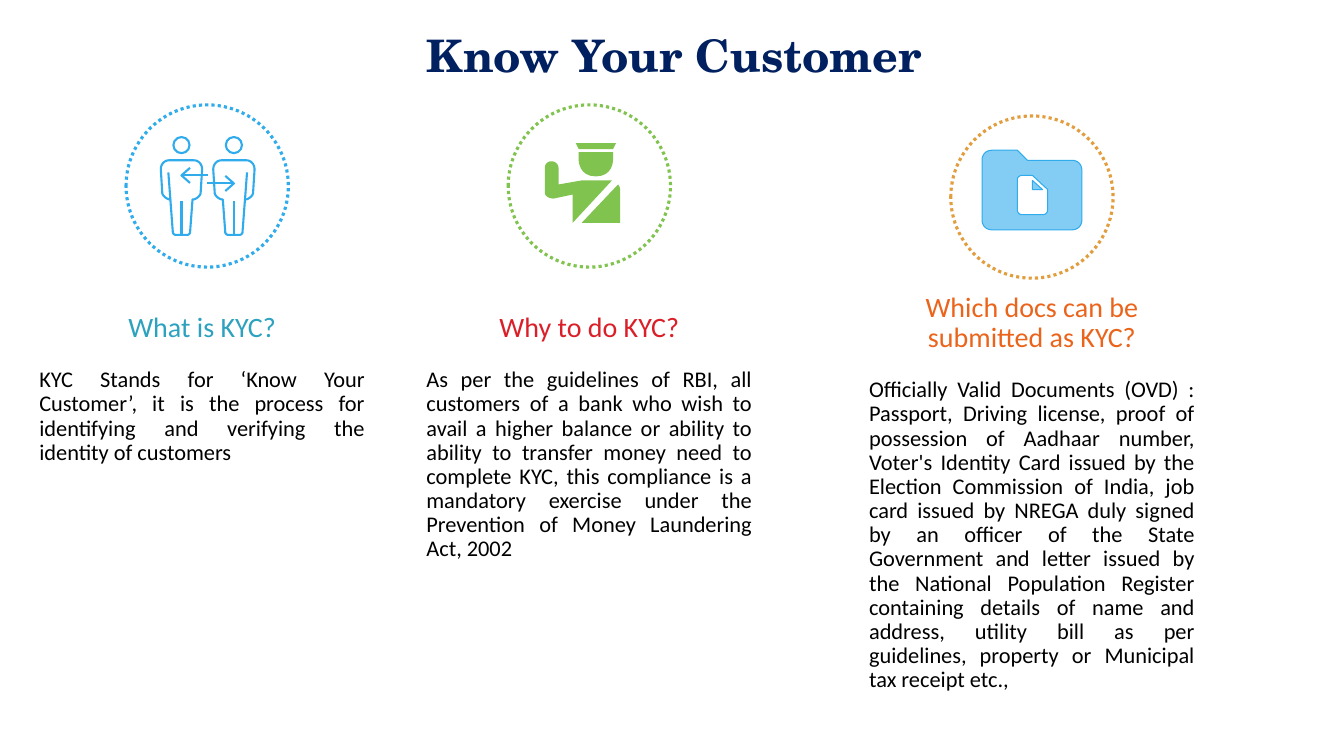
from dataclasses import dataclass

from lxml.etree import SubElement as Sub
from pptx import Presentation
from pptx.dml.color import RGBColor as Rgb
from pptx.enum.dml import MSO_LINE as Dash
from pptx.enum.shapes import MSO_CONNECTOR as Link, MSO_SHAPE as Form
from pptx.enum.text import MSO_ANCHOR as Anchor, PP_ALIGN as Align
from pptx.oxml.ns import qn
from pptx.util import Inches, Pt


@dataclass(frozen=True)
class Theme:
    navy: str = "002060"
    black: str = "000000"
    teal: str = "2DA2BF"
    red: str = "DA1F28"
    rust: str = "EB641B"
    blue: str = "30ACEC"
    sky: str = "83CDF4"
    green: str = "80C34F"
    gold: str = "E29D3E"
    serif: str = "TeX Gyre Schola"
    sans: str = "Calibri"
    title: int = 32
    head: int = 20
    body: int = 16
    gap: float = 17.6
    thin: float = 1.5
    ring: float = 2.25


T = Theme()
WIDE, HIGH = 13.33, 7.5
ROWS = 75  # square grid cells down the slide
RING = 16.1  # ring width in cells
STEPS = 8  # points along each curve

# Left, top, height, heading colour, heading, body text
PANELS = [
    (3.9, 31.1, 30.1, T.teal, "What is KYC?",
     "KYC Stands for ‘Know Your Customer’, it is the process for identifying "
     "and verifying the identity of customers"),
    (42.3, 31.1, 30.1, T.red, "Why to do KYC?",
     "As per the guidelines of RBI, all customers of a bank who wish to avail "
     "a higher balance or ability to ability to transfer money need to "
     "complete KYC, this compliance is a mandatory exercise under the "
     "Prevention of Money Laundering Act, 2002"),
    (86.2, 29.1, 43.1, T.rust, "Which docs can be submitted as KYC?",
     "Officially Valid Documents (OVD) : Passport, Driving license, proof of "
     "possession of Aadhaar number, Voter's Identity Card issued by the "
     "Election Commission of India, job card issued by NREGA duly signed by "
     "an officer of the State Government and letter issued by the National "
     "Population Register containing details of name and address, utility "
     "bill as per guidelines, property or Municipal tax receipt etc.,"),
]
RINGS = [(12.5, 10.4, T.blue), (50.4, 10.4, T.green), (94.3, 11.5, T.gold)]

# Outlines in cells: two numbers make a corner, six make a curve
BODY = [(2.05, 16.8), (1.9, 19.2), (1.8, 19.5, 1.4, 19.8, 1.1, 19.8),
        (0.85, 23.1), (0.8, 23.2, 0.7, 23.3, 0.6, 23.3), (-0.6, 23.3),
        (-0.7, 23.3, -0.8, 23.2, -0.85, 23.1), (-1.1, 19.8),
        (-1.4, 19.8, -1.8, 19.5, -1.9, 19.2), (-2.05, 16.8),
        (-2.05, 16.3, -1.7, 15.9, -1.2, 15.9), (1.2, 15.9),
        (1.7, 15.9, 2.05, 16.3, 2.05, 16.8)]
GUARD = [
    [(57.1, 14.2), (57.4, 14.8), (60.8, 14.8), (61.1, 14.2)],
    [(57.4, 15.1), (57.4, 15.9), (57.4, 15.9, 57.4, 17.5, 59.1, 17.5),
     (60.8, 17.5, 60.8, 15.9, 60.8, 15.9), (60.8, 15.1)],
    [(54.7, 16), (54.3, 16, 54, 16.3, 54.05, 16.7), (54.05, 19.1),
     (54, 19.4, 54.4, 19.7, 54.9, 19.7), (56.8, 19.3), (56.8, 22.1),
     (60.7, 17.9), (60.6, 17.9, 60.5, 17.9, 60.4, 17.9), (57.7, 17.9),
     (55.4, 18.3), (55.4, 16.7), (55.4, 16.3, 55.1, 16, 54.7, 16)],
    [(61.3, 18.3), (57.7, 22.1), (61.5, 22.1), (61.5, 18.8),
     (61.5, 18.6, 61.4, 18.4, 61.3, 18.3)],
]
FOLD = [[(102.4, 18.8), (103.4, 18.8), (102.4, 17.9)]]
FOLDER = [
    [(106.3, 15.9), (101.9, 15.9), (100.9, 14.9), (98.4, 14.9),
     (97.8, 14.9, 97.4, 15.3, 97.4, 15.9), (97.4, 21.8),
     (97.4, 22.4, 97.8, 22.8, 98.4, 22.8), (106.3, 22.8),
     (106.9, 22.8, 107.3, 22.4, 107.3, 21.8), (107.3, 16.9),
     (107.3, 16.3, 106.9, 15.9, 106.3, 15.9)],
    [(103.9, 20.8), (103.9, 21.1, 103.7, 21.3, 103.4, 21.3), (101.4, 21.3),
     (101.1, 21.3, 100.9, 21.1, 100.9, 20.8), (100.9, 17.8),
     (100.9, 17.6, 101.1, 17.4, 101.4, 17.4), (102.4, 17.4), (103.9, 18.8)],
]


def cell(num):
    return Inches(num * HIGH / ROWS)


def put(item, **vals):
    for key, val in vals.items():
        setattr(item, key, val)


def paint(shape, fill=None, line=None, **pen):
    """Give a shape its fill and line."""
    shape.shadow.inherit = False
    if fill:
        shape.fill.solid()
        shape.fill.fore_color.rgb = Rgb.from_string(fill)
    else:
        shape.fill.background()
    if line:
        shape.line.color.rgb = Rgb.from_string(line)
        put(shape.line, **pen)
    else:
        shape.line.fill.background()


def disc(slide, x, y, size, tint, **pen):
    box = map(cell, (x, y, size, size))
    paint(slide.shapes.add_shape(Form.OVAL, *box), line=tint, **pen)


def trace(part):
    """Turn corners and curves into a run of points."""
    dots = []
    for seg in part:
        if len(seg) == 2:
            dots.append(seg)
            continue
        knots = [dots[-1], seg[:2], seg[2:4], seg[4:]]
        for step in range(1, STEPS + 1):
            t = step / STEPS
            u = 1 - t
            mix = (u ** 3, 3 * u * u * t, 3 * u * t * t, t ** 3)
            dots.append(tuple(sum(m * k[i] for m, k in zip(mix, knots))
                              for i in (0, 1)))
    return [(cell(x), cell(y)) for x, y in dots]


def draw(slide, parts, shift=0, close=True, **look):
    """Draw one outline from one or more parts."""
    runs = [[(x + cell(shift), y) for x, y in trace(p)] for p in parts]
    pen = slide.shapes.build_freeform(*runs[0][0])
    for num, run in enumerate(runs):
        if num:
            pen.move_to(*run[0])
        pen.add_line_segments(run[1:], close=close)
    paint(pen.convert_to_shape(), **look)


def rule(slide, *ends):
    link = slide.shapes.add_connector(Link.STRAIGHT, *map(cell, ends))
    link.line.color.rgb = Rgb.from_string(T.blue)
    link.line.width = Pt(T.thin)
    Sub(link._element.spPr, qn("a:effectLst"))


def write(para, text, tint, **font):
    run = para.add_run()
    run.text = text
    put(run.font, **font)
    run.font.color.rgb = Rgb.from_string(tint)


def title(slide):
    box = slide.shapes.add_textbox(*map(cell, (9.4, 1.8, 115, 7.2)))
    put(box.text_frame, word_wrap=True, vertical_anchor=Anchor.MIDDLE)
    para = box.text_frame.paragraphs[0]
    para.alignment = Align.CENTER
    write(para, "Know Your Customer", T.navy,
          name=T.serif, size=Pt(T.title), bold=True)


def panel(slide, x, y, high, tint, head, body):
    frame = slide.shapes.add_textbox(
        *map(cell, (x, y, 32.3, high))).text_frame
    put(frame, word_wrap=True, margin_left=0, margin_right=0,
        margin_top=0, margin_bottom=0)
    top, main_text = frame.paragraphs[0], frame.add_paragraph()
    put(top, alignment=Align.CENTER, line_spacing=0.9, space_after=Pt(T.gap))
    put(main_text, alignment=Align.JUSTIFY, line_spacing=0.9)
    write(top, head, tint, name=T.sans, size=Pt(T.head))
    write(main_text, body, T.black, name=T.sans, size=Pt(T.body))


def person(slide, mid, side, level):
    """Draw a figure and its arrow; side points to the other figure."""
    look = dict(line=T.blue, width=Pt(T.thin))
    disc(slide, mid - 0.8, 13.6, 1.6, T.blue, width=Pt(T.thin))
    draw(slide, [BODY], shift=mid, **look)
    rule(slide, mid, 19.9, mid, 23.3)
    rule(slide, mid - side * 1.1, 19.8, mid - side * 1.3, 17.1)
    back = mid + side * 0.85
    draw(slide, [[(back, level - 0.75), (mid, level), (back, level + 0.75)]],
         close=False, **look)
    rule(slide, mid, level, mid + side * 2.65, level)


def main():
    deck = Presentation()
    put(deck, slide_width=Inches(WIDE), slide_height=Inches(HIGH))
    slide = deck.slides.add_slide(deck.slide_layouts[6])
    title(slide)
    for row in PANELS:
        panel(slide, *row)
    # Icons inside dotted rings
    for x, y, tint in RINGS:
        disc(slide, x, y, RING, tint, width=Pt(T.ring),
             dash_style=Dash.ROUND_DOT)
    person(slide, 18, 1, 17.4)
    person(slide, 23.2, -1, 18.2)
    draw(slide, GUARD, fill=T.green)
    for parts in (FOLD, FOLDER):
        draw(slide, parts, fill=T.sky, line=T.blue, width=Pt(0))
    deck.save("out.pptx")


if __name__ == "__main__":
    main()
